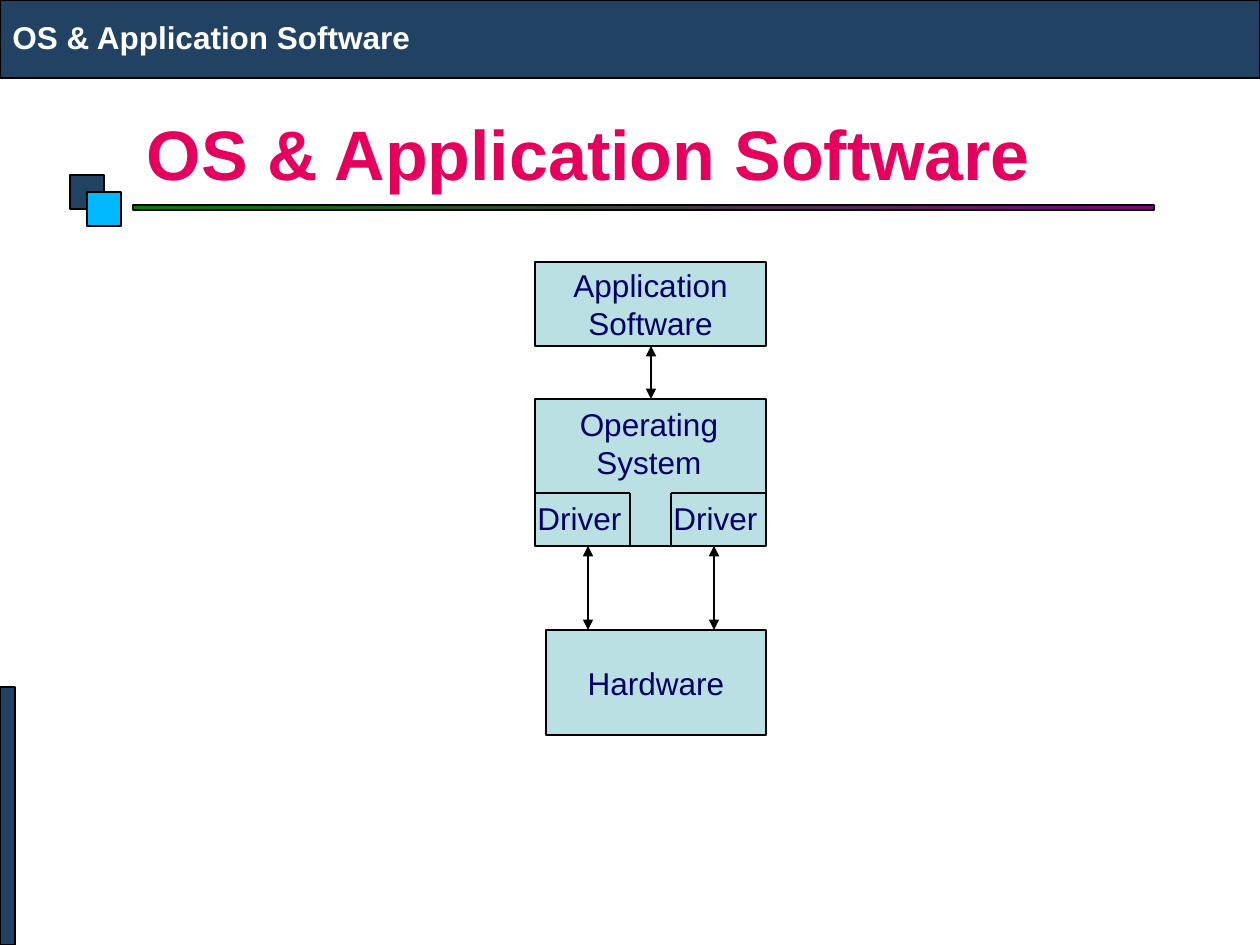
from dataclasses import dataclass

import pptx
import pptx.util
import pptx.dml.color
import pptx.enum.shapes
import pptx.enum.text
import pptx.oxml
import pptx.oxml.ns

PX = 914400 // 126
SHAPE = pptx.enum.shapes.MSO_SHAPE
ALIGN = pptx.enum.text.PP_ALIGN
ANCHOR = pptx.enum.text.MSO_ANCHOR
AUTO_SIZE = pptx.enum.text.MSO_AUTO_SIZE


@dataclass(frozen=True)
class Theme:
    font: str = "Arial"
    title_size: int = 40
    body_size: int = 18
    line_width: float = 0.75
    header_spacing: float = 0.95
    title: str = "E4005C"
    navy: str = "214263"
    sky: str = "00B8FF"
    green: str = "008000"
    purple: str = "800080"
    panel: str = "BBE0E3"
    ink: str = "000066"
    black: str = "000000"
    white: str = "FFFFFF"


@dataclass(frozen=True)
class Area:
    left: int
    top: int
    width: int
    height: int

    def emu(self) -> list:
        return [px(v) for v in (self.left, self.top, self.width, self.height)]


@dataclass(frozen=True)
class Block:
    area: Area
    fill: str
    rounded: bool = False
    text: str = ""


@dataclass(frozen=True)
class Label:
    area: Area
    text: str
    align: ALIGN


@dataclass(frozen=True)
class Link:
    x1: int
    y1: int
    x2: int
    y2: int
    arrows: bool = False


THEME = Theme()


def px(value: int) -> pptx.util.Emu:
    return pptx.util.Emu(value * PX)


def rgb(value: str) -> pptx.dml.color.RGBColor:
    return pptx.dml.color.RGBColor.from_string(value)


def set_line(line) -> None:
    line.color.rgb = rgb(THEME.black)
    line.width = pptx.util.Pt(THEME.line_width)


def write(frame, text: str, size: int, color: str, align: ALIGN,
          bold: bool = False, spacing: float = 1.0) -> None:
    frame.text = text
    for para in frame.paragraphs:
        para.alignment = align
        para.line_spacing = spacing
        for span in para.runs:
            span.font.name = THEME.font
            span.font.size = pptx.util.Pt(size)
            span.font.bold = bold
            span.font.color.rgb = rgb(color)


def add_block(page, block: Block):
    kind = SHAPE.ROUNDED_RECTANGLE if block.rounded else SHAPE.RECTANGLE
    box = page.shapes.add_shape(kind, *block.area.emu())
    if block.rounded:
        box.adjustments[0] = 0
    box.shadow.inherit = False
    box.fill.solid()
    box.fill.fore_color.rgb = rgb(block.fill)
    set_line(box.line)
    if block.text:
        box.text_frame.word_wrap = False
        box.text_frame.vertical_anchor = ANCHOR.MIDDLE
        write(box.text_frame, block.text, THEME.body_size, THEME.ink, ALIGN.CENTER)
    return box


def add_label(page, label: Label) -> None:
    box = page.shapes.add_textbox(*label.area.emu())
    box.text_frame.word_wrap = False
    box.text_frame.auto_size = AUTO_SIZE.SHAPE_TO_FIT_TEXT
    write(box.text_frame, label.text, THEME.body_size, THEME.ink, label.align)


def add_link(page, link: Link) -> None:
    ends = [px(v) for v in (link.x1, link.y1, link.x2, link.y2)]
    line = page.shapes.add_connector(
        pptx.enum.shapes.MSO_CONNECTOR.STRAIGHT, *ends)
    set_line(line.line)
    if link.arrows:
        outline = line.line._get_or_add_ln()
        for tag in ("a:headEnd", "a:tailEnd"):
            end = pptx.oxml.parse_xml(
                f'<{tag} {pptx.oxml.ns.nsdecls("a")} type="triangle"/>')
            outline.append(end)
    line._element.spPr.append(pptx.oxml.parse_xml(
        f'<a:effectLst {pptx.oxml.ns.nsdecls("a")}/>'))


def add_frame(page) -> None:
    # Title
    title = page.shapes.title
    title.left, title.top, title.width, title.height = Area(147, 73, 1076, 159).emu()
    frame = title.text_frame
    frame.margin_left = frame.margin_right = frame.margin_top = frame.margin_bottom = 0
    frame.vertical_anchor = ANCHOR.MIDDLE
    frame.auto_size = AUTO_SIZE.NONE
    write(frame, "OS & Application Software", THEME.title_size, THEME.title,
          ALIGN.LEFT, bold=True)

    # Header bar
    header = add_block(page, Block(Area(0, 0, 1260, 78), THEME.navy, True))
    header.text_frame.word_wrap = False
    header.text_frame.vertical_anchor = ANCHOR.MIDDLE
    write(header.text_frame, "OS & Application Software", THEME.body_size,
          THEME.white, ALIGN.LEFT, bold=True, spacing=THEME.header_spacing)

    # Squares, gradient rule and side bar
    add_block(page, Block(Area(70, 175, 34, 34), THEME.navy, True))
    add_block(page, Block(Area(87, 192, 34, 34), THEME.sky, True))
    rule = add_block(page, Block(Area(133, 205, 1021, 5), THEME.green, True))
    rule.fill.gradient()
    rule.fill.gradient_angle = 0
    for stop, color in zip(rule.fill.gradient_stops, (THEME.green, THEME.purple)):
        stop.color.rgb = rgb(color)
    add_block(page, Block(Area(0, 687, 15, 258), THEME.navy))


def add_diagram(page) -> None:
    left, right, driver_width = 535, 766, 95
    app_bottom, system_top, driver_top, system_bottom, hardware_top = 346, 399, 493, 546, 630
    width = right - left

    # Layers
    for block in (
        Block(Area(left, system_top, width, system_bottom - system_top), THEME.panel),
        Block(Area(left, 262, width, app_bottom - 262), THEME.panel,
              text="Application\nSoftware"),
        Block(Area(546, hardware_top, right - 546, 105), THEME.panel, text="Hardware"),
    ):
        add_block(page, block)

    # Labels inside the operating system
    add_label(page, Label(Area(567, system_top, 164, 88), "Operating\nSystem", ALIGN.CENTER))
    for x in (525, 661):
        add_label(page, Label(Area(x, driver_top, 110, 50), "Driver", ALIGN.LEFT))

    # Driver compartments: a top edge and an inner side each
    for outer, inner in ((left, left + driver_width), (right, right - driver_width)):
        add_link(page, Link(outer, driver_top, inner, driver_top))
        add_link(page, Link(inner, driver_top, inner, system_bottom))

    # Two-way arrows between layers
    add_link(page, Link(651, app_bottom, 651, system_top, True))
    for x in (588, 714):
        add_link(page, Link(x, system_bottom, x, hardware_top, True))


def main() -> None:
    deck = pptx.Presentation()
    deck.slide_width = pptx.util.Inches(10)
    deck.slide_height = pptx.util.Inches(7.5)
    page = deck.slides.add_slide(deck.slide_layouts[5])
    add_frame(page)
    add_diagram(page)
    deck.save("out.pptx")


if __name__ == "__main__":
    main()
